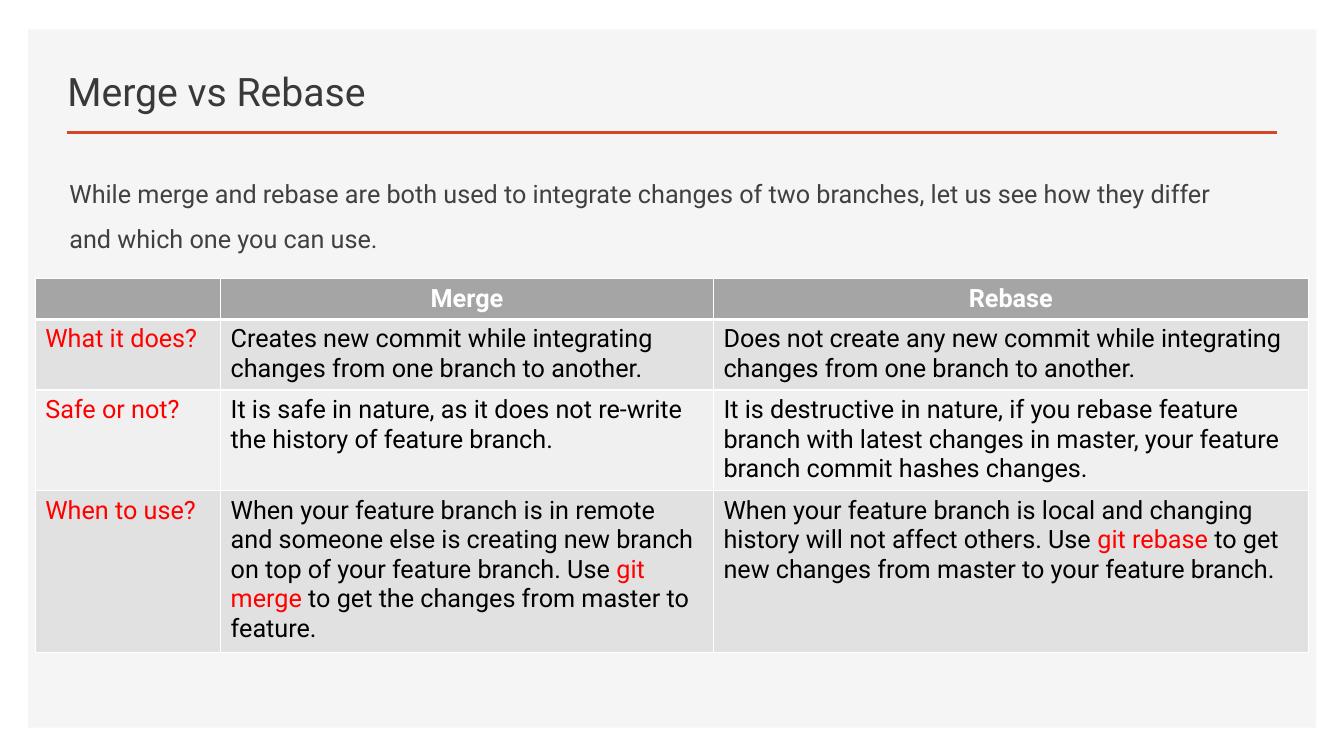
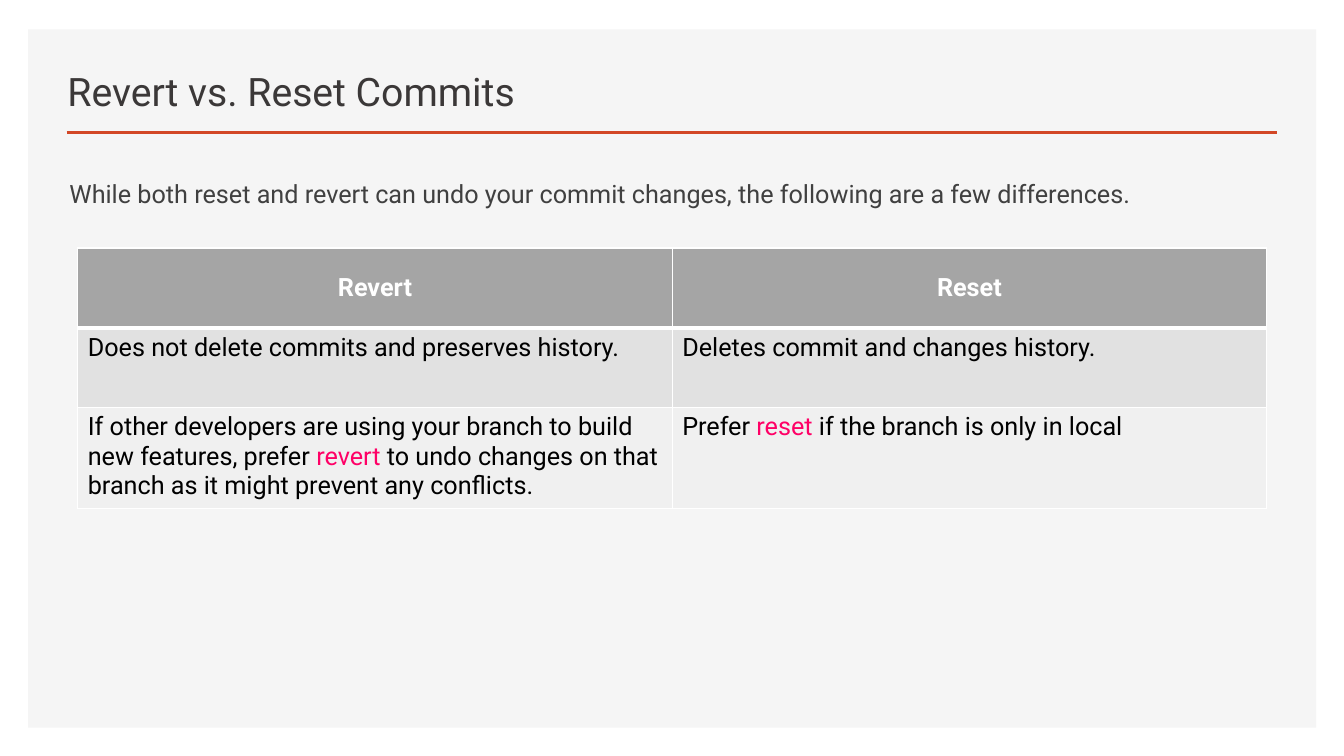
"""Build two slides that compare Git commands in tables."""
from dataclasses import dataclass

from lxml import etree
from pptx import Presentation
from pptx import util as u
from pptx.dml.color import RGBColor
from pptx.enum import shapes, text
from pptx.oxml.ns import qn
from pptx.slide import Slide
from pptx.table import _Cell
from pptx.text.text import TextFrame, _Run


@dataclass(frozen=True)
class Theme:
    font: str = "Roboto"
    panel: str = "F5F5F5"
    rule: str = "D24726"
    title: str = "3B3838"
    intro: str = "404040"
    ink: str = "000000"
    white: str = "FFFFFF"
    header: str = "A5A5A5"
    bands: tuple[str, str] = ("E1E1E1", "F0F0F0")
    title_size: int = 28
    text_size: int = 18
    rule_width: int = 2
    grid_width: int = 1
    header_rule_width: int = 3


@dataclass(frozen=True)
class Box:
    left: float
    top: float
    width: float
    height: float

    def lengths(self) -> tuple[u.Length, ...]:
        return tuple(u.Cm(n) for n in (self.left, self.top, self.width, self.height))


@dataclass(frozen=True)
class Comparison:
    """Rows of cell text, where asterisks enclose highlighted words."""
    title: str
    intro: str
    left: float
    top: float
    columns: tuple[float, ...]
    heights: tuple[float, ...]
    highlight: str
    rows: tuple[tuple[str, ...], ...]


THEME = Theme()
PANEL = Box(0.71, 0.74, 32.46, 17.6)
TITLE = Box(1.45, 1.24, 19.1, 1.78)
INTRO = Box(1.5, 3.99, 30.4, 13.82)
RULE_LEFT, RULE_RIGHT, RULE_TOP = 1.68, 32.18, 3.33

COMPARISONS = (
    Comparison(
        title="Merge vs Rebase",
        intro="While merge and rebase are both used to integrate changes of two branches, "
              "let us see how they differ and which one you can use.",
        left=0.89, top=7.01,
        columns=(4.67, 12.42, 14.99),
        heights=(1.04, 1.74, 2.49, 3.98),
        highlight="FF0000",
        rows=(
            ("", "Merge", "Rebase"),
            ("*What it does?*",
             "Creates new commit while integrating changes from one branch to another.",
             "Does not create any new commit while integrating changes from one branch "
             "to another."),
            ("*Safe or not?*",
             "It is safe in nature, as it does not re-write the history of feature branch.",
             "It is destructive in nature, if you rebase feature branch with latest changes "
             "in master, your feature branch commit hashes changes."),
            ("*When to use?*",
             "When your feature branch is in remote and someone else is creating new branch "
             "on top of your feature branch. Use *git merge* to get the changes from master "
             "to feature.",
             "When your feature branch is local and changing history will not affect others. "
             "Use *git rebase *to get new changes from master to your feature branch."),
        ),
    ),
    Comparison(
        title="Revert vs. Reset Commits",
        intro="While both reset and revert can undo your commit changes, the following are "
              "a few differences.",
        left=1.96, top=6.25,
        columns=(14.98, 14.98),
        heights=(2.01, 2.01, 2.5),
        highlight="FF0066",
        rows=(
            ("Revert", "Reset"),
            ("Does not delete commits and preserves history.",
             "Deletes commit and changes history."),
            ("If other developers are using your branch to build new features, prefer "
             "*revert* to undo changes on that branch as it might prevent any conflicts.",
             "Prefer *reset* if the branch is only in local"),
        ),
    ),
)


def style_run(run: _Run, size: int, color: str, bold: bool = False) -> None:
    run.font.name = THEME.font
    run.font.size = u.Pt(size)
    run.font.bold = bold
    run.font.color.rgb = RGBColor.from_string(color)


def add_backdrop(slide: Slide) -> None:
    panel = slide.shapes.add_shape(shapes.MSO_SHAPE.RECTANGLE, *PANEL.lengths())
    panel.shadow.inherit = False
    panel.fill.solid()
    panel.fill.fore_color.rgb = RGBColor.from_string(THEME.panel)
    panel.line.fill.background()
    rule = slide.shapes.add_connector(
        shapes.MSO_CONNECTOR.STRAIGHT,
        u.Cm(RULE_LEFT), u.Cm(RULE_TOP), u.Cm(RULE_RIGHT), u.Cm(RULE_TOP))
    rule.line.color.rgb = RGBColor.from_string(THEME.rule)
    rule.line.width = u.Pt(THEME.rule_width)
    etree.SubElement(rule._element.spPr, qn("a:effectLst"))


def add_text(slide: Slide, box: Box, wording: str, size: int, color: str) -> TextFrame:
    frame = slide.shapes.add_textbox(*box.lengths()).text_frame
    frame.word_wrap = True
    frame.text = wording
    style_run(frame.paragraphs[0].runs[0], size, color)
    return frame


def set_borders(cell: _Cell, top: int, bottom: int) -> None:
    properties = cell._tc.get_or_add_tcPr()
    widths = {"a:lnL": THEME.grid_width, "a:lnR": THEME.grid_width,
              "a:lnT": top, "a:lnB": bottom}
    for side, width in widths.items():
        border = etree.SubElement(properties, qn(side), w=str(u.Pt(width)))
        fill = etree.SubElement(border, qn("a:solidFill"))
        etree.SubElement(fill, qn("a:srgbClr"), val=THEME.white)


def fill_cell(cell: _Cell, wording: str, row: int, highlight: str) -> None:
    is_header = row == 0
    set_borders(cell,
                top=THEME.header_rule_width if row == 1 else THEME.grid_width,
                bottom=THEME.header_rule_width if is_header else THEME.grid_width)
    cell.fill.solid()
    background = THEME.header if is_header else THEME.bands[(row - 1) % 2]
    cell.fill.fore_color.rgb = RGBColor.from_string(background)
    paragraph = cell.text_frame.paragraphs[0]
    if is_header:
        cell.vertical_anchor = text.MSO_ANCHOR.MIDDLE
        paragraph.alignment = text.PP_ALIGN.CENTER
    plain = THEME.white if is_header else THEME.ink
    for index, words in enumerate(wording.split("*")):
        if words:
            run = paragraph.add_run()
            run.text = words
            style_run(run, THEME.text_size, highlight if index % 2 else plain, is_header)


def add_comparison_table(slide: Slide, comparison: Comparison) -> None:
    area = Box(comparison.left, comparison.top,
               sum(comparison.columns), sum(comparison.heights))
    table = slide.shapes.add_table(
        len(comparison.rows), len(comparison.columns), *area.lengths()).table
    for column, width in zip(table.columns, comparison.columns):
        column.width = u.Cm(width)
    for row, height in zip(table.rows, comparison.heights):
        row.height = u.Cm(height)
    for row_index, row_words in enumerate(comparison.rows):
        for column_index, wording in enumerate(row_words):
            fill_cell(table.cell(row_index, column_index), wording,
                      row_index, comparison.highlight)


def add_comparison(slide: Slide, comparison: Comparison) -> None:
    add_backdrop(slide)
    title = add_text(slide, TITLE, comparison.title, THEME.title_size, THEME.title)
    title.vertical_anchor = text.MSO_ANCHOR.BOTTOM
    intro = add_text(slide, INTRO, comparison.intro, THEME.text_size, THEME.intro)
    intro.paragraphs[0].line_spacing = 1.5
    intro.paragraphs[0].space_before = u.Pt(10)
    intro.paragraphs[0].space_after = u.Pt(12)
    add_comparison_table(slide, comparison)


def main() -> None:
    deck = Presentation()
    deck.slide_width, deck.slide_height = u.Cm(33.87), u.Cm(19.05)
    blank = deck.slide_layouts[6]
    for comparison in COMPARISONS:
        add_comparison(deck.slides.add_slide(blank), comparison)
    deck.save("out.pptx")


if __name__ == "__main__":
    main()
